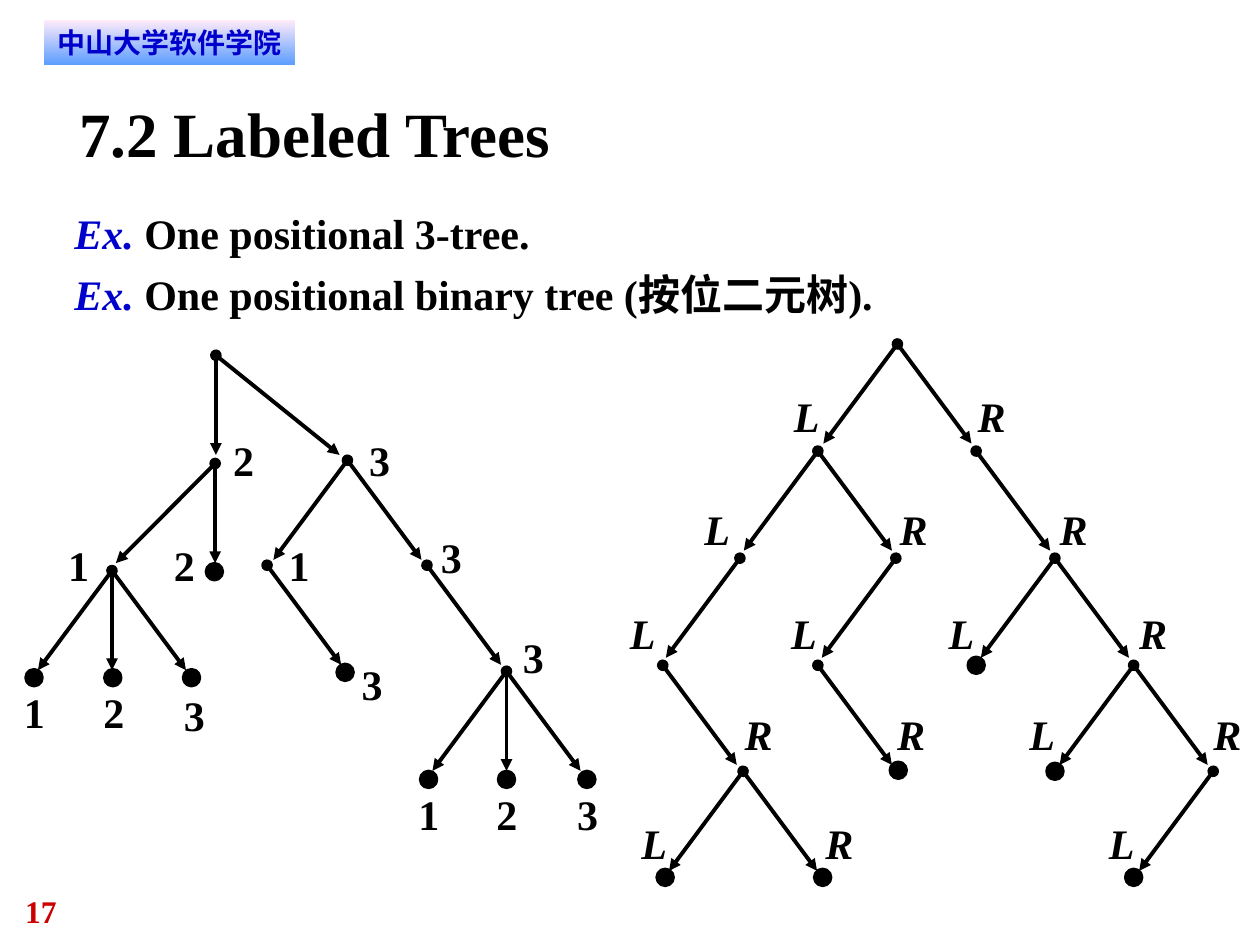
"""Build a slide that shows a positional 3-tree and a positional binary tree."""
from lxml import etree
from pptx import Presentation
from pptx.dml.color import RGBColor
from pptx.enum.shapes import MSO_CONNECTOR, MSO_SHAPE
from pptx.enum.text import MSO_ANCHOR, MSO_AUTO_SIZE, PP_ALIGN
from pptx.oxml.ns import qn
from pptx.util import Inches, Pt

STRAIGHT = MSO_CONNECTOR.STRAIGHT
OVAL, RECTANGLE = MSO_SHAPE.OVAL, MSO_SHAPE.RECTANGLE
TOP, MIDDLE = MSO_ANCHOR.TOP, MSO_ANCHOR.MIDDLE
LEFT, CENTER = PP_ALIGN.LEFT, PP_ALIGN.CENTER
NO_AUTOFIT = MSO_AUTO_SIZE.NONE

BLACK = RGBColor(0x00, 0x00, 0x00)
BLUE = RGBColor(0x00, 0x00, 0xCC)
RED = RGBColor(0xCC, 0x00, 0x00)
PINK = RGBColor(0xFF, 0xEB, 0xFA)
SKY = RGBColor(0x5E, 0x9E, 0xFF)

presentation = Presentation()
presentation.slide_width, presentation.slide_height = Inches(10), Inches(7.5)
slide = presentation.slides.add_slide(presentation.slide_layouts[1])
UNIT = presentation.slide_width / 100
COLUMN, ROW = 6.25 * UNIT, 8.5 * UNIT
DROP = 0.93
DOT = 1.2 * UNIT


def write(paragraph, text, size=24, color=BLACK, italic=False, name="Times New Roman"):
    run = paragraph.add_run()
    run.text = text
    font = run.font
    font.size, font.name, font.bold, font.italic = Pt(size), name, True, italic
    font.color.rgb = color


def place(shape, left, top, width, height, wrap=True, anchor=TOP):
    shape.left, shape.top = int(left * UNIT), int(top * UNIT)
    shape.width, shape.height = int(width * UNIT), int(height * UNIT)
    frame = shape.text_frame
    frame.margin_left = frame.margin_right = frame.margin_top = frame.margin_bottom = 0
    frame.auto_size, frame.word_wrap, frame.vertical_anchor = NO_AUTOFIT, wrap, anchor
    return frame


number = place(slide.shapes.add_textbox(0, 0, 0, 0), 2, 70.8, 7.5, 3)
write(number.paragraphs[0], "17", size=18, color=RED)

banner = slide.shapes.add_shape(RECTANGLE, 0, 0, 0, 0)
banner.shadow.inherit = False
banner.line.fill.background()
banner.fill.gradient()
banner.fill.gradient_angle = 270
for stop, color in zip(banner.fill.gradient_stops, (PINK, SKY)):
    stop.color.rgb = color
banner_text = place(banner, 3.5, 1.6, 19.9, 3.5, anchor=MIDDLE).paragraphs[0]
banner_text.alignment = CENTER
write(banner_text, "中山大学软件学院", size=16, color=BLUE, name="DejaVu Sans")

title = place(slide.shapes.title, 6.3, 7.5, 87.5, 6, anchor=MIDDLE).paragraphs[0]
title.alignment = LEFT
write(title, "7.2 Labeled Trees", size=36)

body = place(slide.placeholders[1], 5.9, 15.7, 87.6, 9.6)
examples = (" One positional 3-tree.", " One positional binary tree (按位二元树).")
for index, example in enumerate(examples):
    paragraph = body.add_paragraph() if index else body.paragraphs[0]
    properties = paragraph._p.get_or_add_pPr()
    properties.set("marL", "0")
    properties.set("indent", "0")
    etree.SubElement(properties, qn("a:buNone"))
    paragraph.line_spacing, paragraph.space_before = 1.2, Pt(0)
    write(paragraph, "Ex.", color=BLUE, italic=True)
    write(paragraph, example)

SIDE = 0.94
three_tree = {
    "origin": (2.7, 28.2),
    "branches": [
        (2.31, 0, (1.57, 0)), (2.3, 1.01, (0, -1.26)), (3.98, 0.98, (SIDE, -SIDE)),
        (0.99, 2.01, (-SIDE, 0, SIDE)), (2.96, 1.96, (SIDE,)),
        (4.99, 1.96, (SIDE,)), (6, 2.95, (-SIDE, 0, SIDE)),
    ],
    "leaves": [(0, 3.01), (1, 3.01), (2, 3.01), (2.29, 2.02), (3.95, 2.96),
               (5.01, 3.96), (6, 3.96), (7.02, 3.96)],
    "labels": {
        34.5: [("2", 18.5), ("3", 29.3)],
        42.8: [("1", 5.4), ("2", 13.8), ("1", 22.9)],
        42.2: [("3", 35)],
        50.1: [("3", 41.5)],
        52.3: [("3", 28.7)],
        54.5: [("1", 1.9), ("2", 8.2)],
        54.7: [("3", 14.6)],
        62.6: [("1", 33.2), ("2", 39.4), ("3", 45.8)],
    },
}
binary_tree = {
    "origin": (52.6, 27.3),
    "branches": [
        (2.98, 0, (SIDE, -SIDE)), (1.97, 1, (SIDE, -SIDE)), (3.98, 1, (SIDE,)),
        (0.98, 2, (-SIDE,)), (2.96, 2, (-SIDE,)), (4.98, 2, (SIDE, -SIDE)),
        (0, 3, (SIDE,)), (1.97, 3, (SIDE,)), (5.98, 3, (SIDE, -SIDE)),
        (1.02, 3.99, (SIDE, -SIDE)), (6.99, 3.99, (-SIDE,)),
    ],
    "leaves": [(0.03, 4.98), (2.03, 4.98), (3.98, 3), (4.98, 3.99),
               (5.98, 4.98), (2.99, 3.98)],
    "labels": {
        31: [("L", 63), ("R", 77.6)],
        40: [("L", 55.9), ("R", 71.4), ("R", 84.1)],
        48.2: [("L", 50), ("L", 62.8), ("L", 75.3), ("R", 90.4)],
        56.2: [("R", 59.1), ("R", 71.2), ("L", 81.7), ("R", 96.3)],
        64.9: [("L", 50.9), ("R", 65.5), ("L", 88)],
    },
}

for tree in (three_tree, binary_tree):
    left, top = (share * UNIT for share in tree["origin"])
    for column, row, spreads in tree["branches"]:
        x, y = left + column * COLUMN, top + row * ROW
        for index, spread in enumerate(spreads):
            arrow = slide.shapes.add_connector(
                STRAIGHT, int(x), int(y), int(x + spread * COLUMN), int(y + DROP * ROW))
            arrow.line.color.rgb = BLACK
            arrow.line.width = Pt(2.25)
            line = arrow.line._get_or_add_ln()
            if index == 0:
                etree.SubElement(line, qn("a:headEnd"), type="oval")
            etree.SubElement(line, qn("a:tailEnd"), type="triangle")
            etree.SubElement(arrow._element.spPr, qn("a:effectLst"))
    for column, row in tree["leaves"]:
        x, y = left + column * COLUMN, top + row * ROW
        dot = slide.shapes.add_shape(
            OVAL, int(x - DOT / 2), int(y - DOT / 2), int(DOT), int(DOT))
        dot.shadow.inherit = False
        dot.fill.solid()
        dot.fill.fore_color.rgb = dot.line.color.rgb = BLACK
        dot.line.width = Pt(2.5)
    for label_top, labels in tree["labels"].items():
        for text, label_left in labels:
            box = slide.shapes.add_textbox(0, 0, 0, 0)
            frame = place(box, label_left, label_top, 2.2 if text == "R" else 2, 4, wrap=False)
            write(frame.paragraphs[0], text, italic=text.isalpha())

presentation.save("out.pptx")
